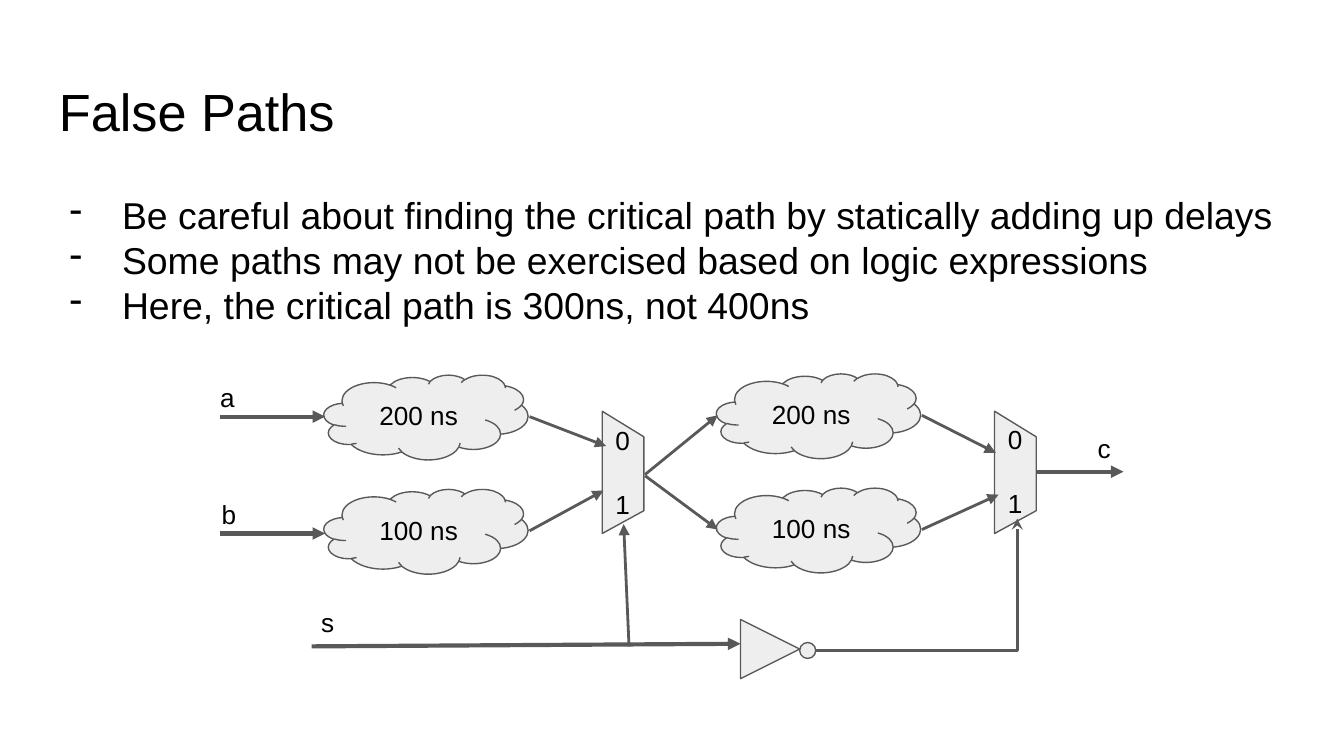
from pptx import Presentation
from pptx.dml.color import RGBColor
from pptx.enum.shapes import MSO_CONNECTOR, MSO_SHAPE
from pptx.enum.text import MSO_ANCHOR, PP_ALIGN
from pptx.oxml.ns import qn
from pptx.util import Pt
from lxml.etree import SubElement

BLACK = RGBColor(0, 0, 0)
GRAY = RGBColor(0x59, 0x59, 0x59)
PALE = RGBColor(0xEE, 0xEE, 0xEE)

deck = Presentation()
deck.slide_width, deck.slide_height = Pt(720), Pt(405)
slide = deck.slides.add_slide(deck.slide_layouts[6])
shapes = slide.shapes


def write(shape, lines, size, **form):
    frame = shape.text_frame
    frame.text = "\n".join(lines)
    inset = dict.fromkeys(("margin_left", "margin_top", "margin_right", "margin_bottom"), Pt(7.2))
    for key, value in {**inset, "word_wrap": True, "vertical_anchor": MSO_ANCHOR.TOP, **form}.items():
        setattr(frame, key, value)
    for para in frame.paragraphs:
        for key, value in {"name": "Arial", "size": Pt(size)}.items():
            setattr(para.font, key, value)
        para.font.color.rgb = BLACK
    return frame.paragraphs


def paint(shape):
    shape.shadow.inherit = False
    shape.fill.solid()
    shape.fill.fore_color.rgb = PALE
    shape.line.color.rgb = GRAY
    shape.line.width = Pt(0.75)


title = shapes.add_textbox(Pt(24.5), Pt(35.3), Pt(671), Pt(45.4))
write(title, ["False Paths"], 28)

body = shapes.add_textbox(Pt(22.3), Pt(95.8), Pt(674.6), Pt(86.4))
points = [
    "Be careful about finding the critical path by statically adding up delays",
    "Some paths may not be exercised based on logic expressions",
    "Here, the critical path is 300ns, not 400ns",
]
for para in write(body, points, 20):
    props = para._p.get_or_add_pPr()
    for key, value in {"marL": Pt(36), "indent": Pt(-28)}.items():
        props.set(key, str(int(value)))
    tint = SubElement(props, qn("a:buClr"))
    SubElement(tint, qn("a:srgbClr")).set("val", str(BLACK))
    SubElement(props, qn("a:buChar")).set("char", "-")

for left, top in ((173.5, 200.9), (383.8, 200.2)):
    for row, delay in enumerate(("200 ns", "100 ns")):
        cloud = shapes.add_shape(MSO_SHAPE.CLOUD, Pt(left), Pt(top + 61.2 * row), Pt(109.4), Pt(45.4))
        paint(cloud)
        para = write(cloud, [delay], 14, vertical_anchor=MSO_ANCHOR.MIDDLE)[0]
        para.alignment = PP_ALIGN.CENTER

for left in (322.6, 532.8):
    pen = shapes.build_freeform(Pt(left), Pt(220.3))
    pen.add_line_segments([(Pt(left + x), Pt(220.3 + y)) for x, y in ((0, 65.5), (22.3, 53.3), (22.3, 13.7))])
    paint(pen.convert_to_shape())

gate = shapes.add_shape(MSO_SHAPE.ISOSCELES_TRIANGLE, Pt(396.7), Pt(331.9), Pt(31.7), Pt(31.7))
gate.rotation = 90
paint(gate)
paint(shapes.add_shape(MSO_SHAPE.OVAL, Pt(428.4), Pt(344.2), Pt(8.6), Pt(8.6)))

wires = [
    (118, 223.2, 174.2, 223.2, 2.25),
    (118, 285.8, 174.2, 285.8, 2.25),
    (283.7, 223.2, 324.7, 239, 1.5),
    (283.7, 284.4, 323.3, 262.8, 1.5),
    (345.6, 254.2, 384.5, 222.5, 1.5),
    (345.6, 254.9, 384.5, 283.7, 1.5),
    (493.9, 222.5, 533.5, 242.6, 1.5),
    (493.9, 283.7, 535, 265, 1.5),
    (555.8, 252.7, 601.9, 252.7, 2.25),
    (167, 346.3, 396.7, 344.9, 2.25),
    (337, 346.3, 334.1, 280.8, 1.5),
    (437, 348.5, 545, 277.9, 1.5),
]
for *ends, width in wires:
    bent = ends[0] == 437
    kind = MSO_CONNECTOR.ELBOW if bent else MSO_CONNECTOR.STRAIGHT
    wire = shapes.add_connector(kind, *map(Pt, ends))
    wire.line.color.rgb = GRAY
    wire.line.width = Pt(width)
    edge = wire.line._get_or_add_ln()
    SubElement(edge, qn("a:tailEnd")).set("type", "stealth" if bent else "triangle")
    props = wire._element.spPr
    SubElement(props, qn("a:effectLst"))
    if bent:
        guide = SubElement(props.find(qn("a:prstGeom")).find(qn("a:avLst")), qn("a:gd"))
        for key, value in {"name": "adj1", "fmla": "val 100000"}.items():
            guide.set(key, value)

for name, left, top in (("s", 164.9, 317.5), ("a", 110.9, 197.3), ("b", 111.6, 259.9), ("c", 581, 224.6)):
    write(shapes.add_textbox(Pt(left), Pt(top), Pt(46.8), Pt(45.4)), [name], 14)

for left, top in ((322.6, 220.3), (532.8, 219.6)):
    label = shapes.add_textbox(Pt(left), Pt(top), Pt(22.3), Pt(66.2))
    write(label, ["0", "1"], 14)[1].space_before = Pt(17.5)

deck.save("out.pptx")
